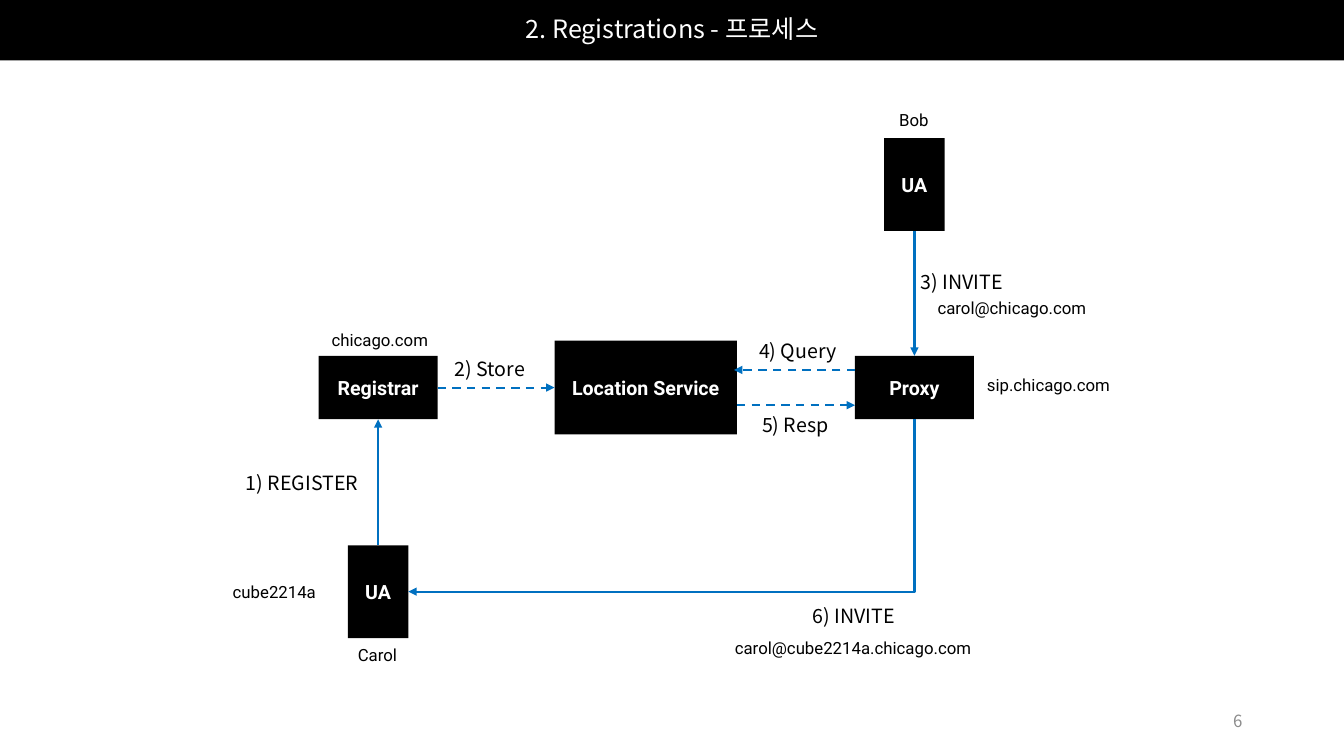
from lxml import etree
from pptx import Presentation
from pptx.dml.color import RGBColor
from pptx.enum.dml import MSO_LINE
from pptx.enum.shapes import MSO_CONNECTOR, MSO_SHAPE
from pptx.enum.text import MSO_ANCHOR, MSO_AUTO_SIZE, PP_ALIGN
from pptx.oxml.ns import qn
from pptx.util import Emu, Pt

RECTANGLE = MSO_SHAPE.RECTANGLE
STRAIGHT, ELBOW = MSO_CONNECTOR.STRAIGHT, MSO_CONNECTOR.ELBOW
LEFT, CENTER, RIGHT = PP_ALIGN.LEFT, PP_ALIGN.CENTER, PP_ALIGN.RIGHT
MIDDLE, TOP_ANCHOR = MSO_ANCHOR.MIDDLE, MSO_ANCHOR.TOP
DASH, SOLID = MSO_LINE.DASH, MSO_LINE.SOLID
TOP_SIDE, LEFT_SIDE, BOTTOM_SIDE, RIGHT_SIDE = range(4)
EMU_PER_PX = 9144  # 100 px to the inch
QUARTER_TURN = "5400000"

# Content
COLORS = {"black": "000000", "white": "FFFFFF", "arrow": "0070C0", "page": "8C8C8C"}
SANS, ROBOTO = "Noto Sans CJK KR", "Roboto"
SLIDE_SIZE = (1333, 750)
TITLE = ("2. Registrations - 프로세스", (0, 0, 1333, 60))
PAGE_NUMBER = ("6", (942, 695, 300, 40))

NODES = {  # name: (text, (left, top, width, height))
    "registrar": ("Registrar", (316, 353, 118, 63)),
    "proxy": ("Proxy", (848, 353, 118, 63)),
    "carol": ("UA", (345, 541, 60, 92)),
    "bob": ("UA", (877, 137, 60, 92)),
    "location": ("Location Service", (550, 338, 181, 93)),
}
STEPS = [  # text, left, top, width
    ("1) REGISTER", 234, 462, 135),
    ("2) Store", 441, 349, 93),
    ("4) Query", 743, 331, 100),
    ("5) Resp", 746, 405, 88),
    ("6) INVITE", 796, 594, 105),
    ("3) INVITE", 903, 263, 105),
]
ADDRESSES = [
    ("cube2214a", 221, 572, 104),
    ("Carol", 345, 635, 59),
    ("chicago.com", 319, 322, 117),
    ("sip.chicago.com", 969, 367, 143),
    ("carol@chicago.com", 920, 290, 169),
    ("carol@cube2214a.chicago.com", 719, 628, 257),
    ("Bob", 882, 104, 50),
]
JOINED_ARROWS = [  # from node, side, to node, side, dash
    ("registrar", RIGHT_SIDE, "location", LEFT_SIDE, DASH),
    ("carol", TOP_SIDE, "registrar", BOTTOM_SIDE, SOLID),
    ("bob", BOTTOM_SIDE, "proxy", TOP_SIDE, SOLID),
]
LOOKUP_ARROWS = [(848, 367, 728, 367), (731, 402, 848, 402)]


def px(value):
    return Emu(round(value * EMU_PER_PX))


def color(name):
    return RGBColor.from_string(COLORS[name])


def write(shape, text, font_name, size, color_name, align=LEFT, anchor=MIDDLE, bold=False):
    frame = shape.text_frame
    frame.text = text
    frame.vertical_anchor = anchor
    paragraph = frame.paragraphs[0]
    paragraph.alignment = align
    font = paragraph.runs[0].font
    font.name, font.size, font.bold = font_name, Pt(size), bold
    font.color.rgb = color(color_name)
    # Hangul takes its face from the East Asian font
    font._element.find(qn("a:latin")).addnext(
        etree.Element(qn("a:ea"), typeface=font_name))
    return paragraph


def add_box(slide, box):
    shape = slide.shapes.add_shape(RECTANGLE, *map(px, box))
    shape.shadow.inherit = False
    shape.fill.solid()
    shape.fill.fore_color.rgb = color("black")
    shape.line.fill.background()
    shape.text_frame.word_wrap = True
    return shape


def add_label(slide, label, height, font_name, size):
    text, left, top, width = label
    shape = slide.shapes.add_textbox(*map(px, (left, top, width, height)))
    write(shape, text, font_name, size, "black", anchor=TOP_ANCHOR)
    shape.text_frame.word_wrap = False
    shape.text_frame.auto_size = MSO_AUTO_SIZE.SHAPE_TO_FIT_TEXT


def add_arrow(slide, kind, ends, dash):
    arrow = slide.shapes.add_connector(kind, *map(px, ends))
    arrow.line.color.rgb = color("arrow")
    arrow.line.width = Pt(1.5)
    arrow.line.dash_style = dash
    properties = arrow._element.spPr
    etree.SubElement(properties.find(qn("a:ln")), qn("a:tailEnd"), type="triangle")
    etree.SubElement(properties, qn("a:effectLst"))
    return arrow


def add_corner_arrow(slide, start, end):
    """Run down from start, then left to end: a two-leg elbow turned by 90 degrees."""
    (start_x, start_y), (end_x, end_y) = start, end
    across, down = start_x - end_x, end_y - start_y
    left = (start_x + end_x - down) / 2
    top = (start_y + end_y - across) / 2
    arrow = add_arrow(slide, ELBOW, (left, top, left + down, top + across), SOLID)
    properties = arrow._element.spPr
    properties.find(qn("a:xfrm")).set("rot", QUARTER_TURN)
    properties.find(qn("a:prstGeom")).set("prst", "bentConnector2")


def main():
    presentation = Presentation()
    presentation.slide_width, presentation.slide_height = map(px, SLIDE_SIZE)
    slide = presentation.slides.add_slide(presentation.slide_layouts[6])

    # Title bar and page number
    text, box = TITLE
    write(add_box(slide, box), text, SANS, 18, "white", CENTER).line_spacing = 0.9
    text, box = PAGE_NUMBER
    number = slide.shapes.add_textbox(*map(px, box))
    number.text_frame.word_wrap = True
    write(number, text, SANS, 12, "page", RIGHT)

    # Network nodes
    nodes = {}
    for name, (text, box) in NODES.items():
        nodes[name] = add_box(slide, box)
        write(nodes[name], text, ROBOTO, 14, "white", CENTER, bold=True)
    nodes["location"].text_frame.word_wrap = False

    # Message arrows
    for source, source_side, target, target_side, dash in JOINED_ARROWS:
        arrow = add_arrow(slide, STRAIGHT, (0, 0, 0, 0), dash)
        arrow.begin_connect(nodes[source], source_side)
        arrow.end_connect(nodes[target], target_side)
    for ends in LOOKUP_ARROWS:
        add_arrow(slide, STRAIGHT, ends, DASH)
    left, top, width, height = NODES["proxy"][1]
    proxy_bottom = (left + width / 2, top + height)
    left, top, width, height = NODES["carol"][1]
    add_corner_arrow(slide, proxy_bottom, (left + width, top + height / 2))

    # Step and address labels
    for label in STEPS:
        add_label(slide, label, 34, SANS, 14)
    for label in ADDRESSES:
        add_label(slide, label, 30, ROBOTO, 12)

    presentation.save("out.pptx")


if __name__ == "__main__":
    main()
